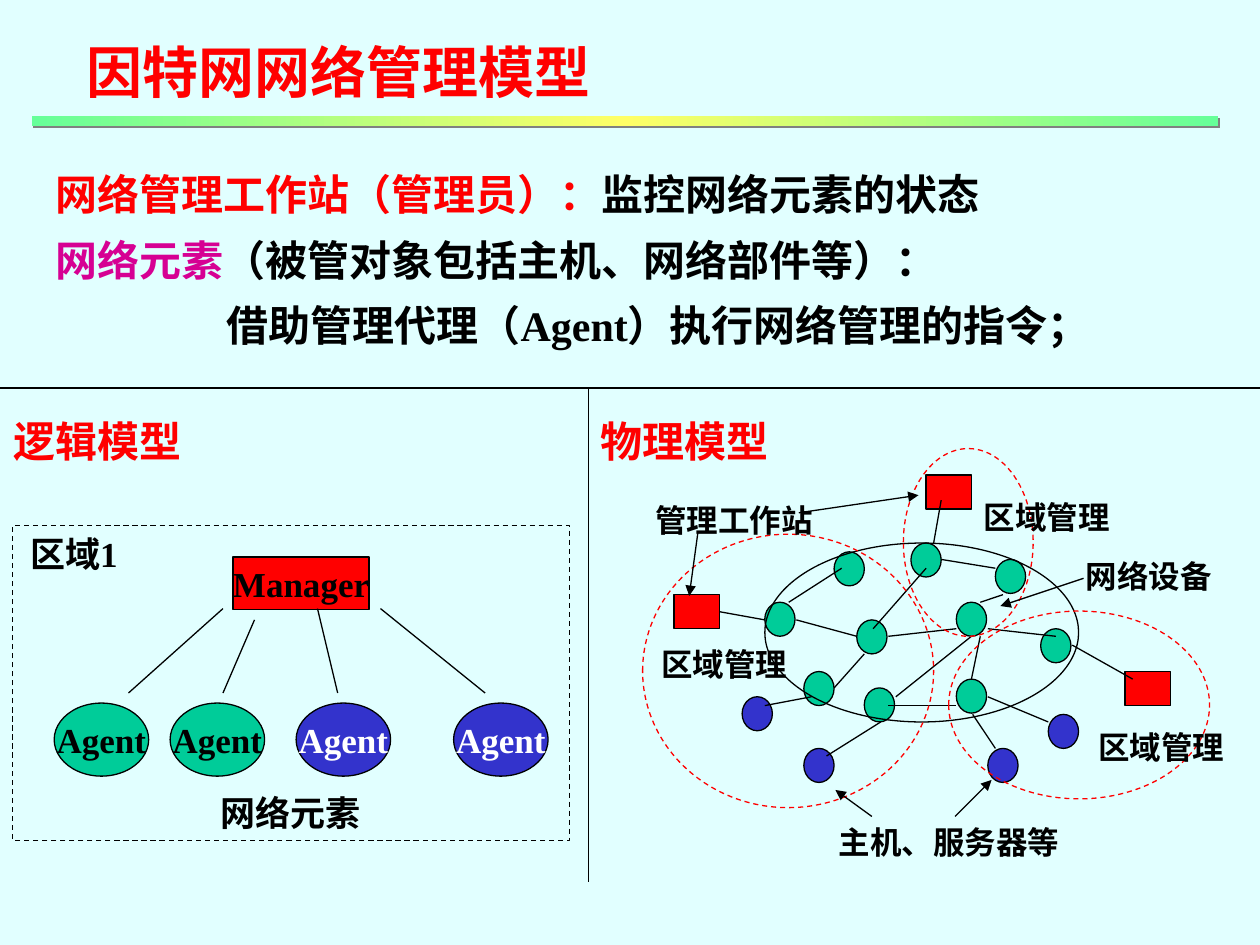
from lxml.etree import SubElement
from pptx import Presentation
from pptx.dml.color import RGBColor
from pptx.enum.dml import MSO_LINE
from pptx.enum.shapes import MSO_CONNECTOR, MSO_SHAPE as Kind
from pptx.enum.text import MSO_AUTO_SIZE as Fit
from pptx.oxml import parse_xml
from pptx.oxml.ns import nsdecls, qn
from pptx.util import Inches, Pt

COLORS = {
    "sky": "E1FFFF", "red": "FF0000", "black": "000000", "white": "FFFFFF",
    "magenta": "D60093", "green": "00CC99", "blue": "3333CC",
    "mint": "66FF99", "yellow": "FFFF66", "gray": "808080",
}
FONT = "Times New Roman"

# Text: each paragraph is a list of (words, color)
TITLE = [[("因特网网络管理模型", "red")]]
INTRO = [
    [("网络管理工作站（管理员）：", "red"), ("监控网络元素的状态", "black")],
    [("网络元素", "magenta"), ("（被管对象包括主机、网络部件等）：", "black")],
    [("借助管理代理（Agent）执行网络管理的指令；", "black")],
]
INTRO_INDENT = 1.36

# Labels: words, left, top, width, height, size, color
LABELS = [
    ("逻辑模型", 0.01, 3.25, 1.53, 0.5, 24, "red"),
    ("物理模型", 4.67, 3.25, 1.53, 0.5, 24, "red"),
    ("区域1", 0.14, 4.18, 0.96, 0.44, 20, "black"),
    ("网络元素", 1.65, 6.23, 1.31, 0.44, 20, "black"),
    ("区域管理", 5.15, 5.07, 1.2, 0.4, 18, "black"),
    ("区域管理", 8.62, 5.73, 1.2, 0.4, 18, "black"),
    ("区域管理", 7.71, 3.9, 1.2, 0.4, 18, "black"),
    ("主机、服务器等", 6.56, 6.48, 1.95, 0.4, 18, "black"),
    ("网络设备", 8.52, 4.37, 1.2, 0.4, 18, "black"),
    ("管理工作站", 5.1, 3.93, 1.45, 0.4, 18, "black"),
]

# Physical model
NODE = (0.24, 0.27)
STATION = (0.36, 0.27)
DEVICES = [(6.07, 4.78), (6.38, 5.33), (6.8, 4.92), (7.9, 4.44), (8.26, 4.99),
           (7.23, 4.31), (6.62, 4.38), (7.59, 5.39), (6.86, 5.46), (7.59, 4.78)]
HOSTS = [(5.89, 5.53), (7.84, 5.94), (6.38, 5.94), (8.32, 5.67)]
STATIONS = [(5.35, 4.72), (8.93, 5.33), (7.35, 3.77)]
BACKBONE = (6.07, 4.31, 2.49, 1.42)
REGIONS = [(7.53, 4.85, 2.07, 1.49), (5.1, 4.24, 2.31, 2.17), (7.17, 3.56, 1.03, 1.49)]
LINKS = [
    (6.32, 4.92, 6.8, 5.05), (6.62, 5.46, 6.86, 5.19), (6.26, 4.78, 6.68, 4.51),
    (7.11, 5.53, 7.71, 5.05), (7.05, 5.05, 7.59, 4.99), (7.84, 4.99, 8.38, 5.05),
    (7.78, 5.05, 7.71, 5.39), (7.05, 5.6, 7.59, 5.6), (7.35, 4.51, 6.93, 4.99),
    (7.47, 4.44, 7.9, 4.51), (7.96, 4.72, 7.78, 4.78),
    (7.72, 5.67, 7.9, 5.94), (7.84, 5.53, 8.32, 5.73), (6.44, 5.53, 6.07, 5.6),
    (6.99, 5.73, 6.56, 6), (7.47, 3.97, 7.41, 4.31), (8.51, 5.12, 8.99, 5.39),
]
STATION_LINK = (5.71, 4.85, 6.07, 4.92)
POINTERS = [(5.54, 4.22, 5.47, 4.73), (6.34, 4.07, 7.29, 3.93), (6.92, 6.48, 6.63, 6.27),
            (7.58, 6.48, 7.87, 6.19), (8.6, 4.59, 7.94, 4.81)]

# Logical model
MANAGER = (1.85, 4.42, 1.08, 0.42)
AGENTS = [(0.43, "green", "black"), (1.35, "green", "black"),
          (2.35, "blue", "white"), (3.6, "blue", "white")]
BRANCHES = [(1.77, 4.83, 1.02, 5.5), (2.02, 4.92, 1.77, 5.5),
            (2.52, 4.83, 2.68, 5.5), (3.02, 4.83, 3.85, 5.5)]
ZONE = (0.1, 4.17, 4.42, 2.5)

DIVIDERS = [(4.67, 3.08, 4.67, 7), (0, 3.08, 10, 3.08)]
BAR = (0.25, 0.92, 9.42, 0.08)

deck = Presentation()
deck.slide_width, deck.slide_height = Inches(10), Inches(7.5)
page = deck.slides.add_slide(deck.slide_layouts[6])


def rgb(name):
    return RGBColor.from_string(COLORS[name])


def style(font, size, color=None):
    font.name, font.size, font.bold = FONT, Pt(size), True
    if color:
        font.color.rgb = rgb(color)


def add_text(paragraphs, area, size, spacing=None):
    box = page.shapes.add_textbox(*map(Inches, area))
    frame = box.text_frame
    frame.word_wrap, frame.auto_size = False, Fit.SHAPE_TO_FIT_TEXT
    for number, spans in enumerate(paragraphs):
        para = frame.add_paragraph() if number else frame.paragraphs[0]
        para.line_spacing = spacing
        style(para.font, size)
        for words, color in spans:
            span = para.add_run()
            span.text = words
            style(span.font, size, color)
    return box


def add_shape(kind, area, fill=None, line="black", dashed=False, words=None, ink="black"):
    shape = page.shapes.add_shape(kind, *map(Inches, area))
    shape.shadow.inherit = False
    if fill:
        shape.fill.solid()
        shape.fill.fore_color.rgb = rgb(fill)
    else:
        shape.fill.background()
    shape.line.color.rgb = rgb(line)
    shape.line.width = Pt(0.75)
    if dashed:
        shape.line.dash_style = MSO_LINE.DASH
    if words:
        shape.text_frame.word_wrap = False
        para = shape.text_frame.paragraphs[0]
        para.text = words
        style(para.font, 20, ink)
    return shape


def add_line(ends, arrow=False):
    line = page.shapes.add_connector(MSO_CONNECTOR.STRAIGHT, *map(Inches, ends))
    line.line.color.rgb = rgb("black")
    line.line.width = Pt(0.75)
    if arrow:
        SubElement(line.line._get_or_add_ln(), qn("a:tailEnd"), type="triangle")
    SubElement(line._element.spPr, qn("a:effectLst"))
    return line


page.background.fill.solid()
page.background.fill.fore_color.rgb = rgb("sky")

# Title and introduction
title = add_text(TITLE, (0.59, 0.25, 4.4, 0.64), 32)
title.text_frame.word_wrap = True
intro = add_text(INTRO, (0.34, 1.17, 8.57, 1.66), 24, 1.3)
last = intro.text_frame.paragraphs[-1]
last._p.get_or_add_pPr().set("marL", str(Inches(INTRO_INDENT)))

# Physical model
for spot in DEVICES:
    add_shape(Kind.OVAL, spot + NODE, "green")
add_shape(Kind.OVAL, BACKBONE)
for spot in HOSTS:
    add_shape(Kind.OVAL, spot + NODE, "blue")
stations = [add_shape(Kind.RECTANGLE, spot + STATION, "red") for spot in STATIONS]
for ends in LINKS:
    add_line(ends)
add_line(STATION_LINK).begin_connect(stations[0], 3)
for area in REGIONS:
    add_shape(Kind.OVAL, area, line="red", dashed=True)
for ends in POINTERS:
    add_line(ends, arrow=True)

# Dividers between the three parts
for ends in DIVIDERS:
    add_line(ends)

# Logical model
add_shape(Kind.RECTANGLE, MANAGER, "red", words="Manager")
for left, fill, ink in AGENTS:
    add_shape(Kind.OVAL, (left, 5.58, 0.75, 0.58), fill, words="Agent", ink=ink)
for ends in BRANCHES:
    add_line(ends)
add_shape(Kind.RECTANGLE, ZONE, dashed=True)

for words, left, top, width, height, size, color in LABELS:
    add_text([[(words, color)]], (left, top, width, height), size)

# Gradient bar with a hard shadow under the title
bar = add_shape(Kind.RECTANGLE, BAR)
bar.line.fill.background()
stops = "".join(f'<a:gs pos="{place}"><a:srgbClr val="{COLORS[name]}"/></a:gs>'
                for place, name in [(0, "mint"), (50000, "yellow"), (100000, "mint")])
gradient = parse_xml(f'<a:gradFill {nsdecls("a")} rotWithShape="1"><a:gsLst>{stops}</a:gsLst>'
                     '<a:lin ang="0" scaled="1"/></a:gradFill>')
properties = bar._element.spPr
properties.replace(properties.find(qn("a:noFill")), gradient)
shadow = SubElement(properties.find(qn("a:effectLst")), qn("a:outerShdw"),
                    dist=str(Pt(1.4)), dir="2700000", algn="ctr", rotWithShape="0")
SubElement(shadow, qn("a:srgbClr"), val=COLORS["gray"])

deck.save("out.pptx")
